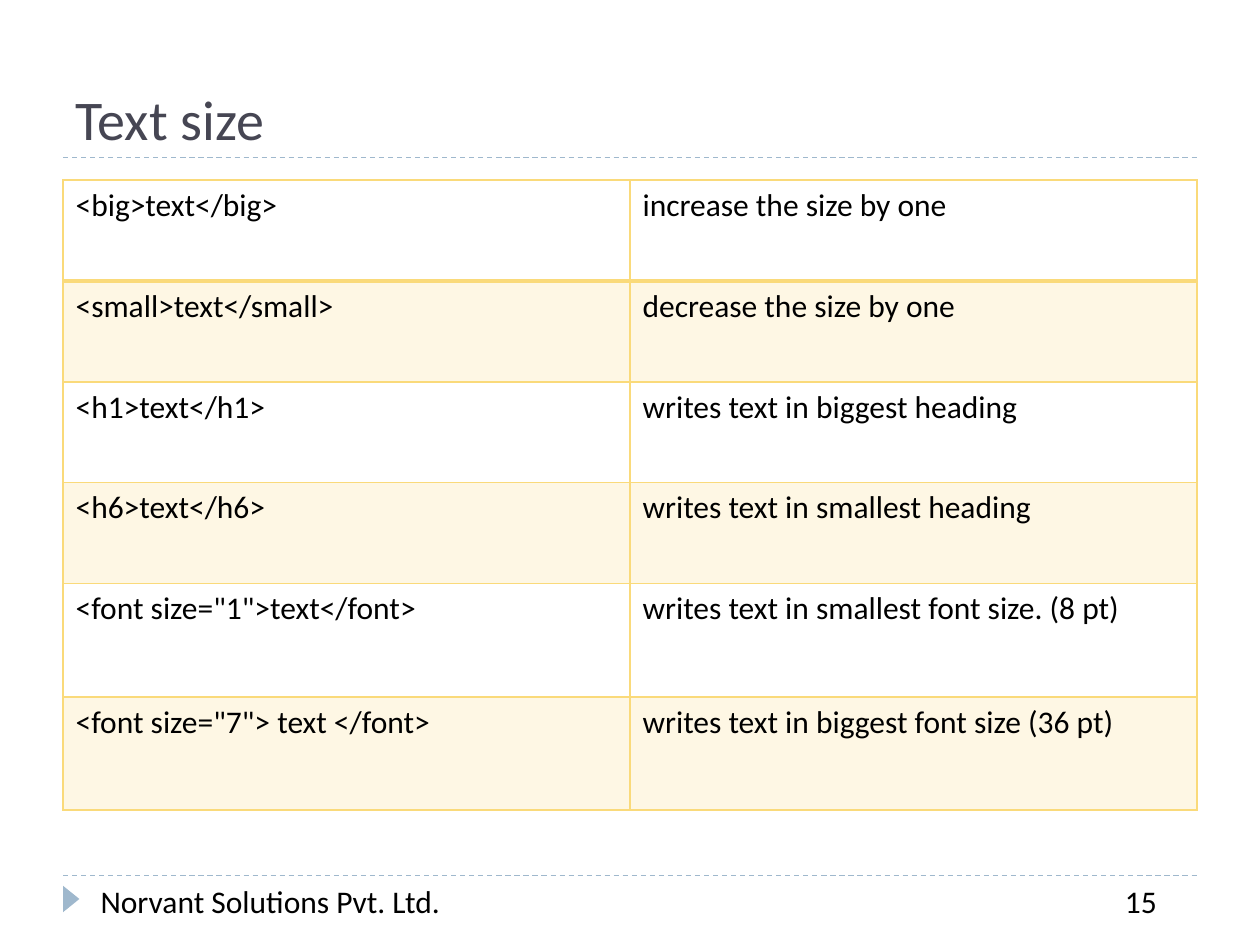
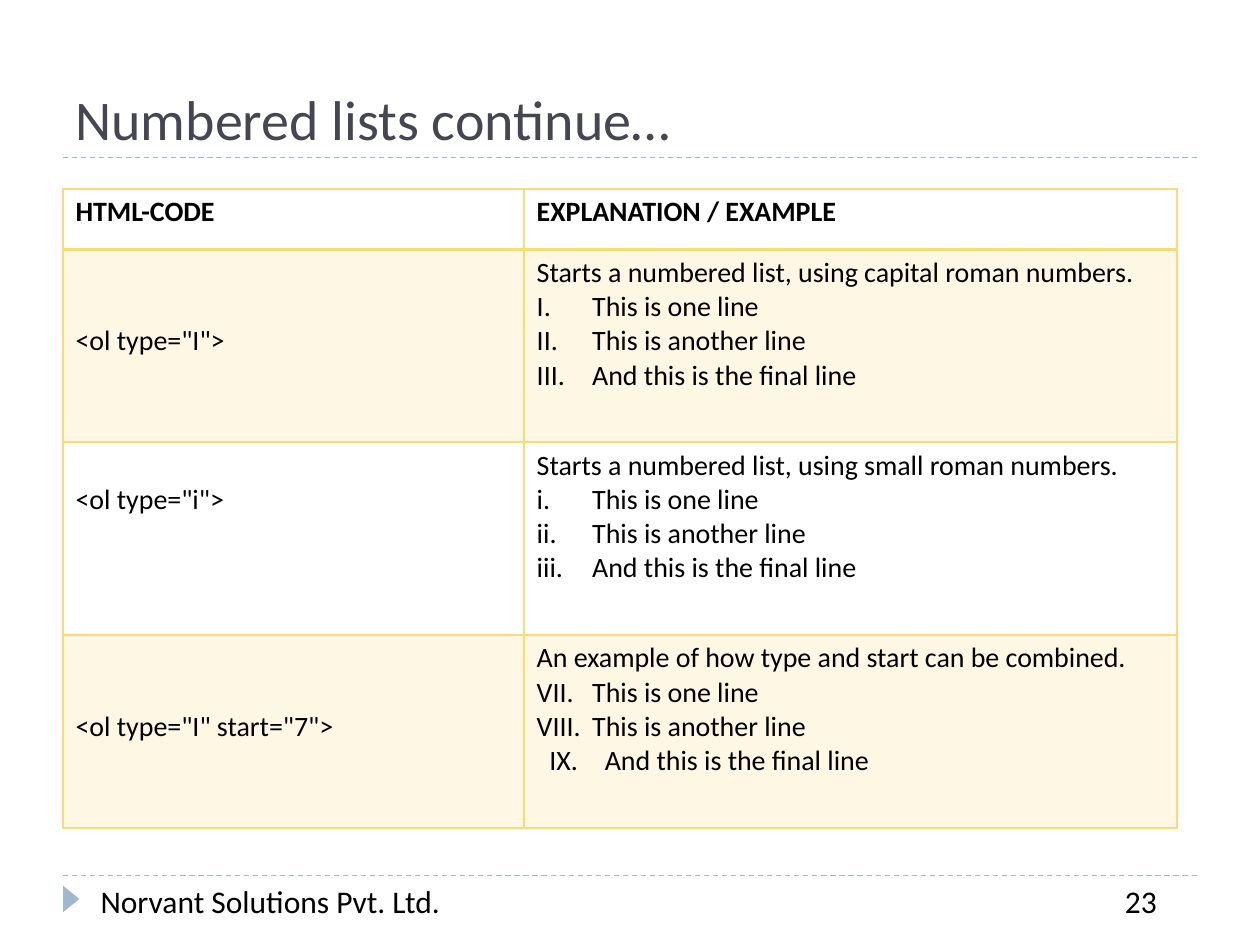
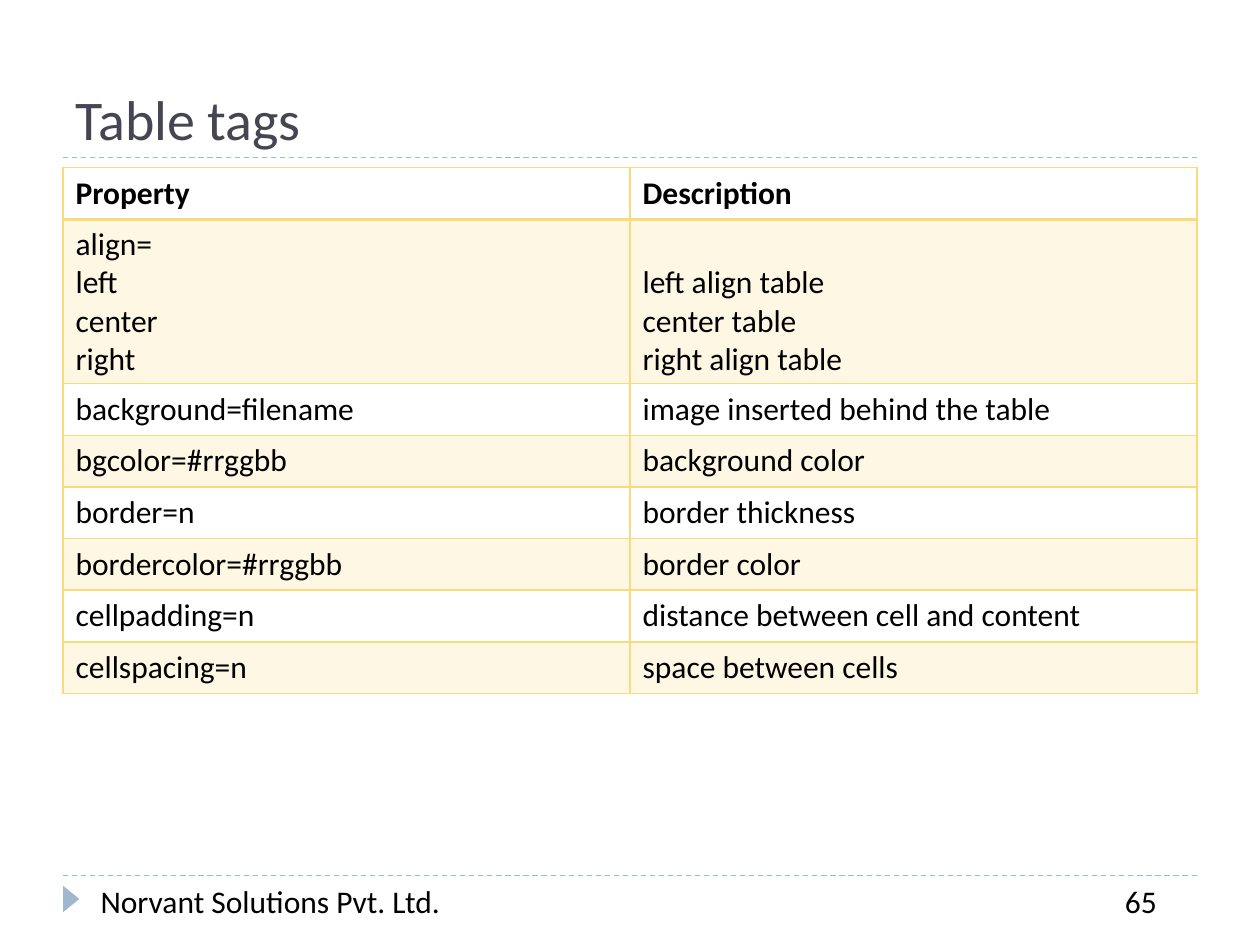
"""Build three slides of HTML tag tables."""
import pptx
import pptx.util
import pptx.dml.color
import pptx.enum.dml
import pptx.enum.shapes
import pptx.enum.text
import pptx.oxml
import pptx.oxml.ns
from pptx.util import Inches

FONT = "Calibri"
INK, SLATE, BLUE, GOLD = "000000", "464653", "9FB8CD", "FADA7A"
FIRM = "Norvant Solutions Pvt. Ltd."
LEFT, RIGHT = 0.5, 9.5
RULES = [1.25, 6.95]
INSET, LEADING = 0.05, 1.22
HANG = 0.44
TOP = pptx.enum.text.MSO_ANCHOR.TOP
MIDDLE = pptx.enum.text.MSO_ANCHOR.MIDDLE
BOTTOM = pptx.enum.text.MSO_ANCHOR.BOTTOM

LINES = "\nThis is one line\nThis is another line\nAnd this is the final line"

PAGES = [
    dict(title="Text size", page="15", top=1.43, size=18, head=False, anchor=TOP,
         cols=[4.5, 4.5], rows=[0.8] * 4 + [0.9] * 2, cells=[
             ("<big>text</big>", "increase the size by one"),
             ("<small>text</small>", "decrease the size by one"),
             ("<h1>text</h1>", "writes text in biggest heading"),
             ("<h6>text</h6>", "writes text in smallest heading"),
             ('<font size="1">text</font>', "writes text in smallest font size. (8 pt)"),
             ('<font size="7"> text </font>', "writes text in biggest font size (36 pt)"),
         ]),
    dict(title="Numbered lists continue…", page="23", top=1.5, size=16, head=True, anchor=TOP,
         cols=[3.66, 5.18], rows=[0.48] + [1.53] * 3, cells=[
             ("HTML-CODE", "EXPLANATION / EXAMPLE"),
             (('<ol type="I">', dict(gap=2)),
              ("Starts a numbered list, using capital roman numbers." + LINES,
               dict(hangs=[HANG] * 3, mark="romanUcPeriod"))),
             (('<ol type="i">', dict(gap=1)),
              ("Starts a numbered list, using small roman numbers." + LINES,
               dict(hangs=[HANG] * 3, mark="romanLcPeriod"))),
             (('<ol type="I" start="7">', dict(gap=2)),
              ("An example of how type and start can be combined.\nVII.\tThis is one line\n"
               "VIII.\tThis is another line\nIX.\tAnd this is the final line",
               dict(hangs=[HANG, HANG, HANG + 0.1]))),
         ]),
    dict(title="Table tags", page="65", top=1.33, size=18, head=True, anchor=MIDDLE,
         cols=[4.5, 4.5], rows=[0.41, 1.3] + [0.41] * 6, cells=[
             ("Property", "Description"),
             ("align=\nleft\ncenter\nright",
              ("left align table\ncenter table\nright align table", dict(gap=1))),
             ("background=filename", "image inserted behind the table"),
             ("bgcolor=#rrggbb", "background color"),
             ("border=n", "border thickness"),
             ("bordercolor=#rrggbb", "border color"),
             ("cellpadding=n", "distance between cell and content"),
             ("cellspacing=n", "space between cells"),
         ]),
]


def paint(code):
    return pptx.dml.color.RGBColor.from_string(code)


def node(name, parent, **attrs):
    item = pptx.oxml.ns.qn(name)
    child = parent.makeelement(item, attrs)
    parent.append(child)
    return child


def write(frame, text, size=18, color=INK, bold=False, hangs=(), mark=None):
    frame.word_wrap = True
    for i, line in enumerate(text.split("\n")):
        para = frame.add_paragraph() if i else frame.paragraphs[0]
        run = para.add_run()
        run.text = line
        run.font.name, run.font.size = FONT, pptx.util.Pt(size)
        run.font.bold, run.font.color.rgb = bold, paint(color)
        if i and hangs:
            props = para._p.get_or_add_pPr()
            props.set("marL", str(Inches(hangs[i - 1])))
            props.set("indent", str(-Inches(HANG)))
            if mark:
                node("a:buAutoNum", props, type=mark)


def label(slide, box, text, anchor=TOP, **style):
    frame = slide.shapes.add_textbox(*map(Inches, box)).text_frame
    frame.vertical_anchor = anchor
    write(frame, text, **style)


def border(cell, widths):
    props = cell._tc.get_or_add_tcPr()
    for i, (side, width) in enumerate(widths.items()):
        line = node("a:ln" + side, props, w=str(pptx.util.Pt(width)))
        node("a:srgbClr", node("a:solidFill", line), val=GOLD)
        props.insert(i, line)


def shade(cell, tinted):
    if not tinted:
        cell.fill.background()
        return
    cell.fill.solid()
    cell.fill.fore_color.rgb = paint(GOLD)
    tone = cell._tc.tcPr.find(".//" + pptx.oxml.ns.qn("a:srgbClr"))
    node("a:alpha", tone, val="20000")


def grid(slide, page):
    cols, rows, size = page["cols"], page["rows"], page["size"]
    box = LEFT, page["top"], sum(cols), sum(rows)
    table = slide.shapes.add_table(len(rows), len(cols), *map(Inches, box)).table
    table.first_row = table.horz_banding = False
    for col, width in zip(table.columns, cols):
        col.width = Inches(width)
    for r, (row, height) in enumerate(zip(table.rows, rows)):
        row.height = Inches(height)
        for cell, item in zip(row.cells, page["cells"][r]):
            text, style = (item, {}) if isinstance(item, str) else item
            style = dict(style)
            gap = style.pop("gap", 0) * size * LEADING / 72
            cell.margin_top = Inches(INSET + gap)
            cell.vertical_anchor = page["anchor"]
            write(cell.text_frame, text, size=size, bold=page["head"] and r == 0, **style)
            shade(cell, r % 2)
            border(cell, dict(L=1, R=1, T=2 if r == 1 else 1, B=2 if r == 0 else 1))


def base(slide, page):
    for y in RULES:
        ends = map(Inches, (LEFT, y, RIGHT, y))
        rule = slide.shapes.add_connector(pptx.enum.shapes.MSO_CONNECTOR.STRAIGHT, *ends)
        rule.line.color.rgb = paint(BLUE)
        rule.line.width = pptx.util.Pt(0.75)
        rule.line.dash_style = pptx.enum.dml.MSO_LINE.DASH
        node("a:effectLst", rule._element.spPr)
    kind = pptx.enum.shapes.MSO_SHAPE.ISOSCELES_TRIANGLE
    arrow = slide.shapes.add_shape(kind, *map(Inches, (0.46, 7.07, 0.21, 0.13)))
    arrow.rotation = 90
    arrow.shadow.inherit = False
    arrow.fill.solid()
    arrow.fill.fore_color.rgb = paint(BLUE)
    arrow.line.fill.background()
    label(slide, (LEFT, 0.17, 9, 1.08), page["title"], BOTTOM, size=32, color=SLATE)
    label(slide, (0.7, 6.95, 3.8, 0.4), FIRM)
    label(slide, (8.83, 6.95, 0.67, 0.4), page["page"])


def main():
    deck = pptx.Presentation()
    deck.slide_width, deck.slide_height = Inches(10), Inches(7.5)
    for page in PAGES:
        slide = deck.slides.add_slide(deck.slide_layouts[6])
        base(slide, page)
        grid(slide, page)
    deck.save("out.pptx")


if __name__ == "__main__":
    main()
